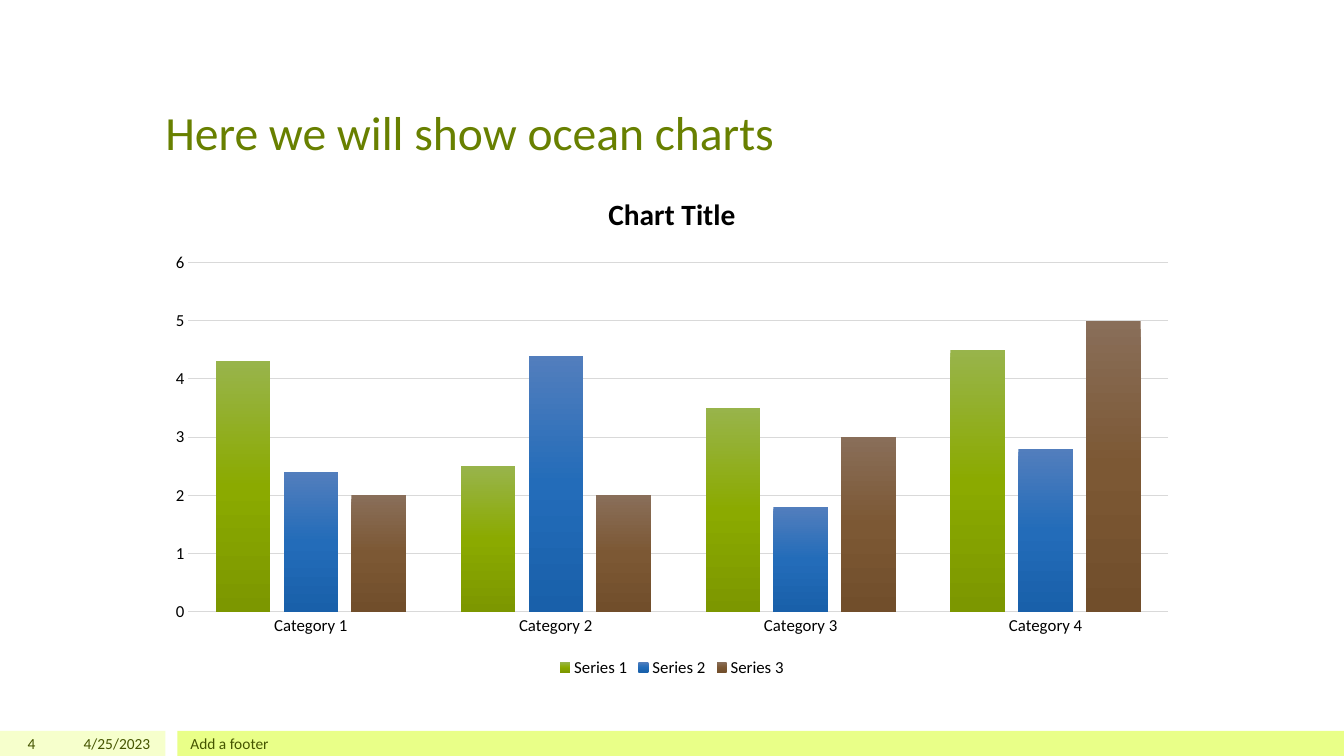
from lxml.etree import SubElement
from pptx import Presentation
from pptx.chart.data import CategoryChartData
from pptx.dml.color import RGBColor
from pptx.enum.chart import XL_CHART_TYPE, XL_LEGEND_POSITION, XL_TICK_MARK
from pptx.enum.shapes import MSO_SHAPE
from pptx.enum.text import MSO_ANCHOR, PP_ALIGN
from pptx.oxml.ns import qn
from pptx.util import Inches, Pt

WIDTH, HEIGHT = 13.33, 7.5
MARGIN = 1.54
CONTENT_WIDTH = WIDTH - 2 * MARGIN
FOOTER_HEIGHT = HEIGHT / 30
FONT = "Calibri"
COLORS = {
    "title": "688000", "footer text": "455500", "black": "000000",
    "pale band": "F6FFCC", "lime band": "E9FF88", "grid": "D9D9D9",
}
CATEGORIES = ["Category 1", "Category 2", "Category 3", "Category 4"]
# Series name: values, gradient colours from top to bottom
SERIES = {
    "Series 1": ([4.3, 2.5, 3.5, 4.5], ["98B44B", "8BAA00", "7C9700"]),
    "Series 2": ([2.4, 4.4, 1.8, 2.8], ["527EBD", "236CB9", "1960AA"]),
    "Series 3": ([2, 2, 3, 5], ["896E59", "7C5834", "714E2B"]),
}


def rgb(name):
    return RGBColor.from_string(COLORS[name])


def format_font(font, size, color, bold=False):
    font.name, font.size, font.bold = FONT, Pt(size), bold
    font.color.rgb = rgb(color)


def write_text(frame, text, size, color, align=PP_ALIGN.LEFT,
               anchor=MSO_ANCHOR.MIDDLE, bold=False):
    frame.word_wrap = True
    frame.vertical_anchor = anchor
    paragraph = frame.paragraphs[0]
    paragraph.alignment = align
    run = paragraph.add_run()
    run.text = text
    format_font(run.font, size, color, bold)


def place(shape, left, top, width, height):
    shape.left, shape.top = Inches(left), Inches(top)
    shape.width, shape.height = Inches(width), Inches(height)


def add_title(slide, left, top, width, height):
    title = slide.shapes.title
    place(title, left, top, width, height)
    title.text_frame.margin_bottom = 0
    write_text(title.text_frame, "Here we will show ocean charts", 34, "title",
               anchor=MSO_ANCHOR.BOTTOM)


def add_footer(slide, left, top, width, height):
    # Colour bands
    split, gap = 1.64, 0.12
    bands = [(0, split, "pale band"), (split + gap, width - split - gap, "lime band")]
    for offset, band_width, color in bands:
        band = slide.shapes.add_shape(
            MSO_SHAPE.RECTANGLE, Inches(left + offset), Inches(top),
            Inches(band_width), Inches(height))
        band.shadow.inherit = False
        band.fill.solid()
        band.fill.fore_color.rgb = rgb(color)
        band.line.fill.background()

    # Slide number, date and footer text
    labels = [
        (0, 0.45, "4", PP_ALIGN.RIGHT),
        (0.5, 1.09, "4/25/2023", PP_ALIGN.RIGHT),
        (1.79, 10, "Add a footer", PP_ALIGN.LEFT),
    ]
    for offset, label_width, text, align in labels:
        label = slide.shapes.add_textbox(
            Inches(left + offset), Inches(top), Inches(label_width), Inches(height))
        label.text_frame.margin_top = label.text_frame.margin_bottom = 0
        write_text(label.text_frame, text, 11, "footer text", align)


def fill_gradient(series, colors):
    properties = series.format.fill
    properties.gradient()
    gradient = series.format.fill._xPr.find(qn("a:gradFill"))
    for child in list(gradient):
        gradient.remove(child)
    stops = SubElement(gradient, qn("a:gsLst"))
    for index, color in enumerate(colors):
        position = 100000 * index // (len(colors) - 1)
        stop = SubElement(stops, qn("a:gs"), pos=str(position))
        SubElement(stop, qn("a:srgbClr"), val=color)
    SubElement(gradient, qn("a:lin"), ang="5400000", scaled="0")


def add_column_chart(slide, left, top, width, height):
    data = CategoryChartData()
    data.categories = CATEGORIES
    for name, (values, _) in SERIES.items():
        data.add_series(name, values)
    chart = slide.shapes.add_chart(
        XL_CHART_TYPE.COLUMN_CLUSTERED, Inches(left), Inches(top),
        Inches(width), Inches(height), data).chart
    format_font(chart.font, 12, "black")

    # Chart title and legend
    chart.has_title = True
    write_text(chart.chart_title.text_frame, "Chart Title", 21, "black",
               PP_ALIGN.CENTER, bold=True)
    chart.chart_title.include_in_layout = False
    chart.has_legend = True
    chart.legend.position = XL_LEGEND_POSITION.BOTTOM
    chart.legend.include_in_layout = False
    format_font(chart.legend.font, 12, "black")

    # Axes
    for axis in (chart.category_axis, chart.value_axis):
        axis.major_tick_mark = axis.minor_tick_mark = XL_TICK_MARK.NONE
        format_font(axis.tick_labels.font, 12, "black")
    value_axis = chart.value_axis
    value_axis.minimum_scale, value_axis.maximum_scale = 0, 6
    value_axis.major_unit = 1
    value_axis.format.line.fill.background()
    for line in (chart.category_axis.format.line,
                 value_axis.major_gridlines.format.line):
        line.color.rgb = rgb("grid")
        line.width = Pt(0.75)

    # Columns
    plot = chart.plots[0]
    plot.gap_width, plot.overlap = 100, -24
    plot.vary_by_categories = False
    for series, (_, colors) in zip(plot.series, SERIES.values()):
        fill_gradient(series, colors)


def main():
    presentation = Presentation()
    presentation.slide_width = Inches(WIDTH)
    presentation.slide_height = Inches(HEIGHT)
    slide = presentation.slides.add_slide(presentation.slide_layouts[5])
    add_footer(slide, 0, HEIGHT - FOOTER_HEIGHT, WIDTH, FOOTER_HEIGHT)
    add_title(slide, MARGIN, 0.3, CONTENT_WIDTH, 1.29)
    add_column_chart(slide, MARGIN, 1.71, CONTENT_WIDTH, 5.05)
    presentation.save("out.pptx")


if __name__ == "__main__":
    main()
